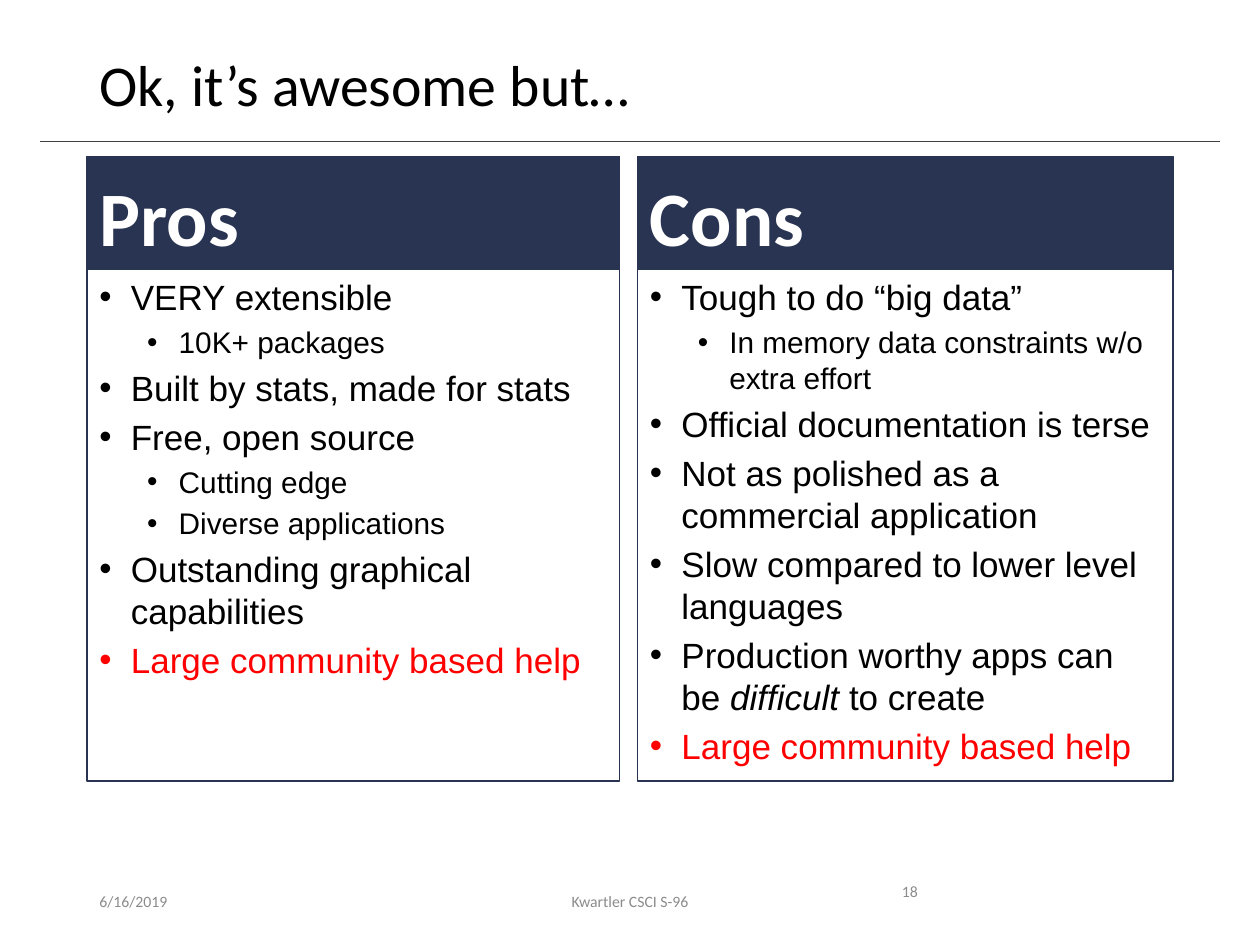
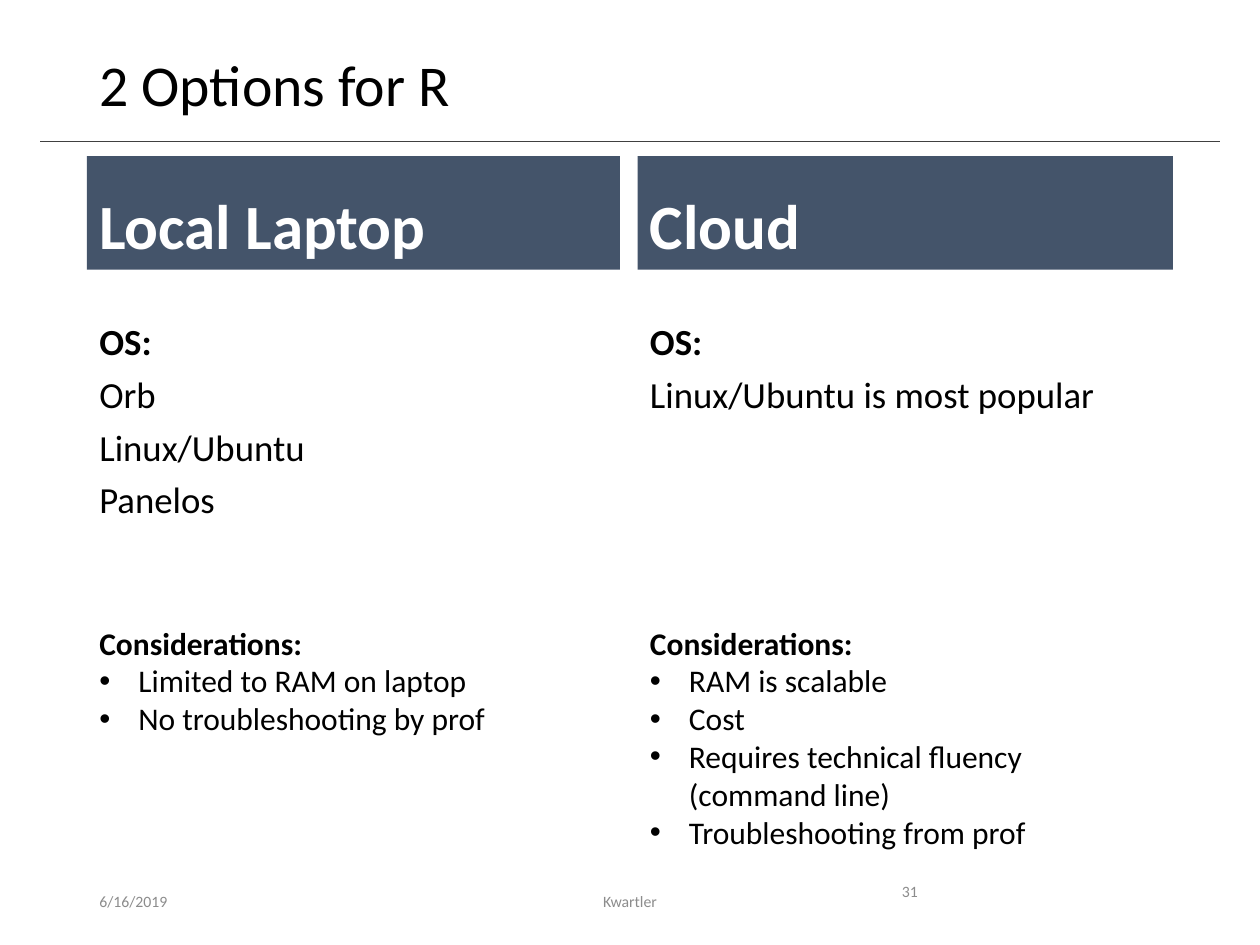
import collections

import lxml.etree
import pptx
import pptx.dml.color
import pptx.enum.shapes
import pptx.enum.text
import pptx.oxml.ns
import pptx.util

COLUMNS, ROWS = 100, 75
COLORS = {
    "navy": "293352",
    "slate": "44546A",
    "rule": "404040",
    "text": "000000",
    "white": "FFFFFF",
    "footer": "8C8C8C",
    "alert": "FF0000",
}
Box = collections.namedtuple("Box", "left top width height")
PAGE = Box(0, 0, COLUMNS, ROWS)
PANELS = (Box(6.9, 12.4, 42.3, 49.6), Box(50.6, 12.4, 42.5, 49.6))
HEADER_ROWS = 9
ANCHOR = pptx.enum.text.MSO_ANCHOR
ALIGN = pptx.enum.text.PP_ALIGN

POINT = {"font": "Arial", "size": 20, "color": "text", "before": 4,
         "left": 0.25, "hang": 0.25}
OPTION = {"font": "Calibri", "size": 21, "color": "text", "before": 7.5, "spacing": 0.9}
CONSIDERATION = {"font": "Calibri", "size": 18, "color": "text"}
HEADER = {"font": "Calibri", "size": 44, "color": "white", "bold": True, "spacing": 0.9}
FOOTER = {"font": "Calibri", "size": 9, "color": "footer"}
STYLES = {
    "title": {"font": "Calibri", "size": 33, "color": "text", "spacing": 0.9},
    "large header": HEADER,
    "header": {**HEADER, "size": 36},
    "point": POINT,
    "detail": {**POINT, "size": 17, "before": 3.4, "left": 0.63},
    "alert": {**POINT, "color": "alert"},
    "option label": {**OPTION, "bold": True},
    "option": OPTION,
    "consideration label": {**CONSIDERATION, "bold": True},
    "consideration": {**CONSIDERATION, "left": 0.31, "hang": 0.31},
    "footer": FOOTER,
    "centered footer": {**FOOTER, "align": ALIGN.CENTER},
}

PROS = [
    ("point", "VERY extensible"),
    ("detail", "10K+ packages"),
    ("point", "Built by stats, made for stats"),
    ("point", "Free, open source"),
    ("detail", "Cutting edge"),
    ("detail", "Diverse applications"),
    ("point", "Outstanding graphical capabilities"),
    ("alert", "Large community based help"),
]
CONS = [
    ("point", "Tough to do “big data”"),
    ("detail", "In memory data constraints w/o extra effort"),
    ("point", "Official documentation is terse"),
    ("point", "Not as polished as a commercial application"),
    ("point", "Slow compared to lower level languages"),
    ("point", "Production worthy apps can be *difficult* to create"),
    ("alert", "Large community based help"),
]
OPTIONS = [
    ("Local Laptop", ["Orb", "Linux/Ubuntu", "Panelos"],
     ["Limited to RAM on laptop", "No troubleshooting by prof"]),
    ("Cloud", ["Linux/Ubuntu is most popular"],
     ["RAM is scalable", "Cost", "Requires technical fluency (command line)",
      "Troubleshooting from prof"]),
]


def rgb(name):
    return pptx.dml.color.RGBColor.from_string(COLORS[name])


def grid(presentation, columns, rows):
    return (int(presentation.slide_width * columns / COLUMNS),
            int(presentation.slide_height * rows / ROWS))


def place(presentation, box):
    return (*grid(presentation, box.left, box.top), *grid(presentation, box.width, box.height))


def inside(box, left, top, width, height):
    return Box(box.left + left, box.top + top, width, height)


def set_attributes(target, values):
    for name, value in values.items():
        if value is not None:
            setattr(target, name, value)


def add_bullet(paragraph, left, hang):
    properties = paragraph._p.get_or_add_pPr()
    properties.set("marL", str(pptx.util.Inches(left)))
    properties.set("indent", str(-pptx.util.Inches(hang)))
    for tag, name, value in (("a:buFont", "typeface", "Arial"), ("a:buChar", "char", "•")):
        lxml.etree.SubElement(properties, pptx.oxml.ns.qn(tag)).set(name, value)


def write(shape, paragraphs, anchor=ANCHOR.TOP):
    frame = shape.text_frame
    set_attributes(frame, {"word_wrap": True, "vertical_anchor": anchor})
    for number, (style_name, text) in enumerate(paragraphs):
        style = STYLES[style_name]
        paragraph = frame.add_paragraph() if number else frame.paragraphs[0]
        if "hang" in style:
            add_bullet(paragraph, style["left"], style["hang"])
        set_attributes(paragraph, {
            "alignment": style.get("align", ALIGN.LEFT),
            "line_spacing": style.get("spacing"),
            "space_before": pptx.util.Pt(style.get("before", 0) if number else 0),
        })
        for position, piece in enumerate(text.split("*")):
            run = paragraph.add_run()
            run.text = piece
            set_attributes(run.font, {
                "name": style["font"],
                "size": pptx.util.Pt(style["size"]),
                "bold": style.get("bold", False),
                "italic": position % 2 == 1,
            })
            run.font.color.rgb = rgb(style["color"])


def add_text(presentation, slide, box, paragraphs, anchor=ANCHOR.TOP):
    write(slide.shapes.add_textbox(*place(presentation, box)), paragraphs, anchor)


def add_panel(presentation, slide, box, paragraphs, fill=None, line=None, anchor=ANCHOR.TOP):
    rectangle = pptx.enum.shapes.MSO_SHAPE.RECTANGLE
    shape = slide.shapes.add_shape(rectangle, *place(presentation, box))
    shape.shadow.inherit = False
    for part, color in ((shape.fill, fill), (shape.line.fill, line)):
        if color:
            part.solid()
            part.fore_color.rgb = rgb(color)
        else:
            part.background()
    if line:
        shape.line.width = pptx.util.Pt(0.75)
    write(shape, paragraphs, anchor)


def add_title(presentation, slide, box, title):
    add_text(presentation, slide, inside(box, 6.9, 4, 86.2, 6.5), [("title", title)])
    start = grid(presentation, box.left + 3.2, box.top + 11.2)
    end = grid(presentation, box.left + 96.8, box.top + 11.2)
    straight = pptx.enum.shapes.MSO_CONNECTOR.STRAIGHT
    rule = slide.shapes.add_connector(straight, *start, *end)
    rule.line.color.rgb = rgb("rule")
    rule.line.width = pptx.util.Pt(0.5)
    lxml.etree.SubElement(rule._element.spPr, pptx.oxml.ns.qn("a:effectLst"))


def add_footer(presentation, slide, box, course, number):
    for left, width, style, text, anchor in (
        (6.9, 22.5, "footer", "6/16/2019", ANCHOR.MIDDLE),
        (33.1, 33.8, "centered footer", course, ANCHOR.MIDDLE),
        (70.6, 9.4, "footer", number, ANCHOR.TOP),
    ):
        add_text(presentation, slide, inside(box, left, 69.5, width, 4), [(style, text)], anchor)


def add_framed_list(presentation, slide, box, heading, points):
    header = box._replace(height=HEADER_ROWS)
    body = inside(box, 0, HEADER_ROWS, box.width, box.height - HEADER_ROWS)
    add_panel(presentation, slide, header, [("large header", heading)],
              "navy", "navy", ANCHOR.BOTTOM)
    add_panel(presentation, slide, body, points, line="navy")


def add_option(presentation, slide, box, heading, systems, considerations):
    add_panel(presentation, slide, box._replace(height=HEADER_ROWS),
              [("header", heading)], "slate", anchor=ANCHOR.BOTTOM)
    for top, height, style, label, items in (
        (12.8, 17.2, "option", "OS:", systems),
        (36.6, 22.2, "consideration", "Considerations:", considerations),
    ):
        paragraphs = [(f"{style} label", label)] + [(style, item) for item in items]
        add_text(presentation, slide, inside(box, 0, top, box.width, height), paragraphs)


def add_slide(presentation, title, course, number, add_column, columns):
    slide = presentation.slides.add_slide(presentation.slide_layouts[6])
    add_title(presentation, slide, PAGE, title)
    for box, content in zip(PANELS, columns):
        add_column(presentation, slide, box, *content)
    add_footer(presentation, slide, PAGE, course, number)


def main():
    presentation = pptx.Presentation()
    set_attributes(presentation, {
        "slide_width": pptx.util.Inches(10),
        "slide_height": pptx.util.Inches(7.5),
    })
    add_slide(presentation, "Ok, it’s awesome but…", "Kwartler CSCI S-96", "18",
              add_framed_list, [("Pros", PROS), ("Cons", CONS)])
    add_slide(presentation, "2 Options for R", "Kwartler", "31", add_option, OPTIONS)
    presentation.save("out.pptx")


if __name__ == "__main__":
    main()
